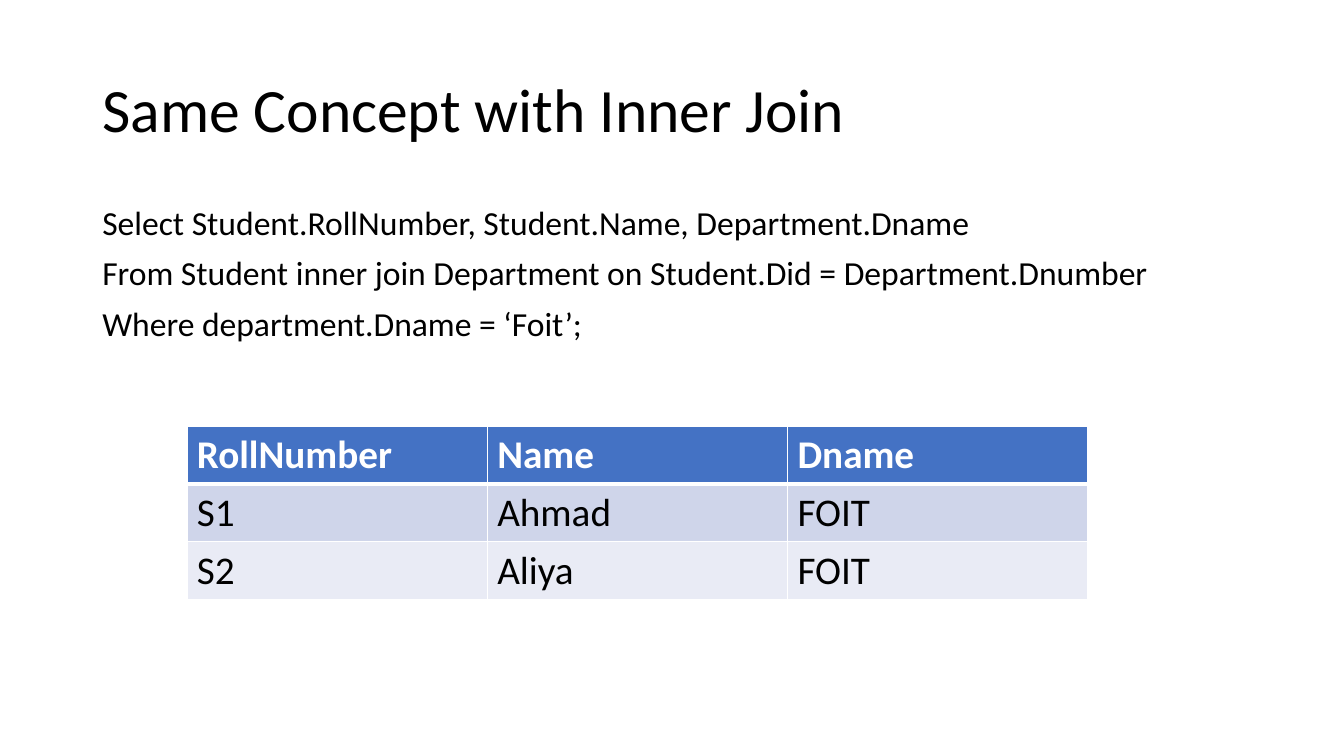
from lxml.etree import SubElement
from pptx import Presentation
from pptx.dml.color import RGBColor
from pptx.enum.text import MSO_ANCHOR as Anchor
from pptx.oxml.ns import qn
from pptx.util import Pt

PX = 9525  # EMU per px, 96 px to the inch
BLACK = RGBColor(0x00, 0x00, 0x00)
WHITE = RGBColor(0xFF, 0xFF, 0xFF)
BLUE = RGBColor(0x44, 0x72, 0xC4)
BAND_DARK = RGBColor(0xCF, 0xD5, 0xEA)
BAND_LIGHT = RGBColor(0xE9, 0xEB, 0xF5)


class Page:
    """Holds the text style and the current slide."""

    font_name = "Calibri"

    def __init__(self, slide):
        self.slide = slide

    def style(self, paragraph, size, color, bold=False):
        font = paragraph.font
        font.name, font.size, font.bold = self.font_name, Pt(size), bold
        font.color.rgb = color

    def text(self, lines, left, top, width, height, size, anchor=Anchor.TOP, before=0):
        box = self.slide.shapes.add_textbox(left * PX, top * PX, width * PX, height * PX)
        frame = box.text_frame
        frame.word_wrap = True
        frame.vertical_anchor = anchor
        frame.text = "\n".join(lines)
        for paragraph in frame.paragraphs:
            paragraph.line_spacing = 0.9
            paragraph.space_before = Pt(before)
            self.style(paragraph, size, BLACK)

    def border(self, cell, side, width):
        line = SubElement(cell._tc.get_or_add_tcPr(), qn(f"a:ln{side}"), w=str(Pt(width)))
        fill = SubElement(line, qn("a:solidFill"))
        SubElement(fill, qn("a:srgbClr"), val=str(WHITE))

    def table(self, records, left, top, col_width, row_height, size):
        rows, cols = len(records), len(records[0])
        grid = self.slide.shapes.add_table(
            rows, cols, left * PX, top * PX, cols * col_width * PX, rows * row_height * PX
        ).table
        grid.first_row = grid.horz_banding = False
        for r, record in enumerate(records):
            header = r == 0
            band = BLUE if header else (BAND_LIGHT, BAND_DARK)[r % 2]
            for c, value in enumerate(record):
                cell = grid.cell(r, c)
                cell.text = value
                self.style(cell.text_frame.paragraphs[0], size, WHITE if header else BLACK, header)
                # Borders come before the fill in the cell properties
                widths = {"L": 1, "R": 1, "T": 3 if r == 1 else 1, "B": 3 if header else 1}
                for side, width in widths.items():
                    self.border(cell, side, width)
                cell.fill.solid()
                cell.fill.fore_color.rgb = band


def main():
    deck = Presentation()
    deck.slide_width, deck.slide_height = 1280 * PX, 720 * PX
    page = Page(deck.slides.add_slide(deck.slide_layouts[6]))

    # Title
    page.text(["Same Concept with Inner Join"], 88, 38, 1104, 139, 44, Anchor.MIDDLE)

    # Query
    query = [
        "Select Student.RollNumber, Student.Name, Department.Dname",
        "From Student inner join Department on Student.Did = Department.Dnumber",
        "Where department.Dname = ‘Foit’;",
    ]
    page.text(query, 88, 192, 1104, 457, 24, before=10)

    # Query result
    result = [
        ("RollNumber", "Name", "Dname"),
        ("S1", "Ahmad", "FOIT"),
        ("S2", "Aliya", "FOIT"),
    ]
    page.table(result, 178, 406, 286, 55, 28)

    deck.save("out.pptx")


if __name__ == "__main__":
    main()
